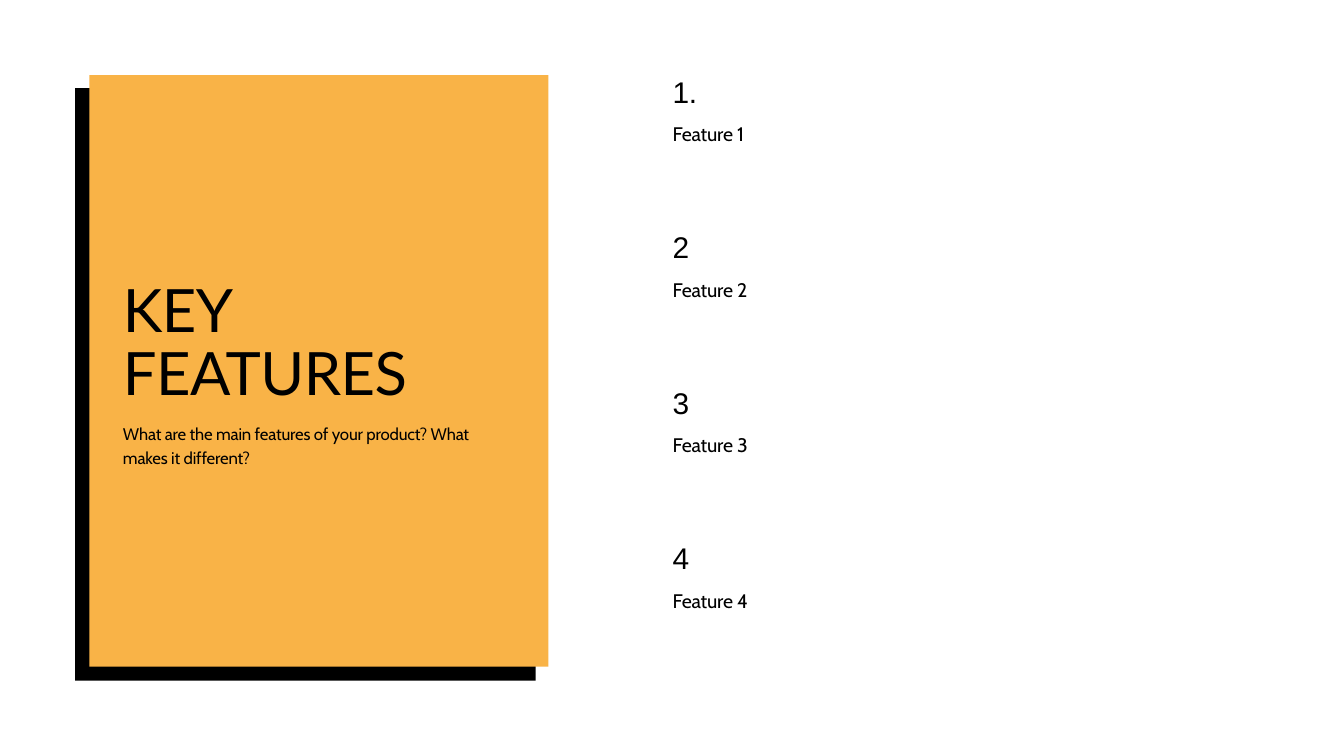
import pptx
import pptx.util
import pptx.dml.color
import pptx.enum.shapes
import pptx.enum.text

Pt = pptx.util.Pt

# Content
TITLE = "KEY FEATURES"
INTRO = "What are the main features of your product? What makes it different?"
ITEMS = [
    ("1.", "Feature 1"),
    ("2", "Feature 2"),
    ("3", "Feature 3"),
    ("4", "Feature 4"),
]

# Look: font, size, line spacing and letter spacing in points
COLORS = {"ink": "000000", "card": "F9B347", "page": "FFFFFF"}
STYLES = {
    "title": ("Lato", 64, 67.2, -0.6),
    "intro": ("Cabin", 18, 25.6, -0.2),
    "number": ("Arial", 32, 33.6, -0.3),
    "label": ("Cabin", 21, 29.8, -0.2),
}

# Layout in points: left, top, width, height
SHADE = (80.6, 94.3, 493.2, 635)
CARD = (95.8, 80.6, 491.8, 633.6)
HEAD = (131.8, 301.7, 419.8, 138.2)
NOTE = (131.8, 450, 419.8, 48.2)
LEFT, TOP, WIDTH, PITCH = 720.7, 83.5, 637.9, 166.6
DROP = 42.6


def color(name):
    return pptx.dml.color.RGBColor.from_string(COLORS[name])


def add_rect(slide, place, name):
    rect = slide.shapes.add_shape(
        pptx.enum.shapes.MSO_SHAPE.RECTANGLE, *map(Pt, place))
    rect.shadow.inherit = False
    rect.fill.solid()
    rect.fill.fore_color.rgb = color(name)
    rect.line.fill.background()


def add_text(group, place, text, style):
    font, size, lead, space = STYLES[style]
    frame = group.shapes.add_textbox(*map(Pt, place)).text_frame
    frame.margin_left = frame.margin_right = 0
    frame.margin_top = frame.margin_bottom = 0
    frame.word_wrap = True
    frame.auto_size = pptx.enum.text.MSO_AUTO_SIZE.SHAPE_TO_FIT_TEXT
    para = frame.paragraphs[0]
    para.line_spacing = Pt(lead)
    run = para.add_run()
    run.text = text
    run.font.name = font
    run.font.size = Pt(size)
    run.font.color.rgb = color("ink")
    run._r.get_or_add_rPr().set("spc", str(round(space * 100)))


def main():
    deck = pptx.Presentation()
    deck.slide_width, deck.slide_height = Pt(1440), Pt(810)
    slide = deck.slides.add_slide(deck.slide_layouts[6])
    slide.background.fill.solid()
    slide.background.fill.fore_color.rgb = color("page")

    # Card with its offset shade
    add_rect(slide, SHADE, "ink")
    add_rect(slide, CARD, "card")

    # Title and intro
    group = slide.shapes.add_group_shape()
    add_text(group, HEAD, TITLE, "title")
    add_text(group, NOTE, INTRO, "intro")

    # Feature list
    for i, (number, label) in enumerate(ITEMS):
        top = TOP + i * PITCH
        group = slide.shapes.add_group_shape()
        add_text(group, (LEFT, top, WIDTH, 35.3), number, "number")
        add_text(group, (LEFT, top + DROP, WIDTH, 27.4), label, "label")

    deck.save("out.pptx")


if __name__ == "__main__":
    main()
